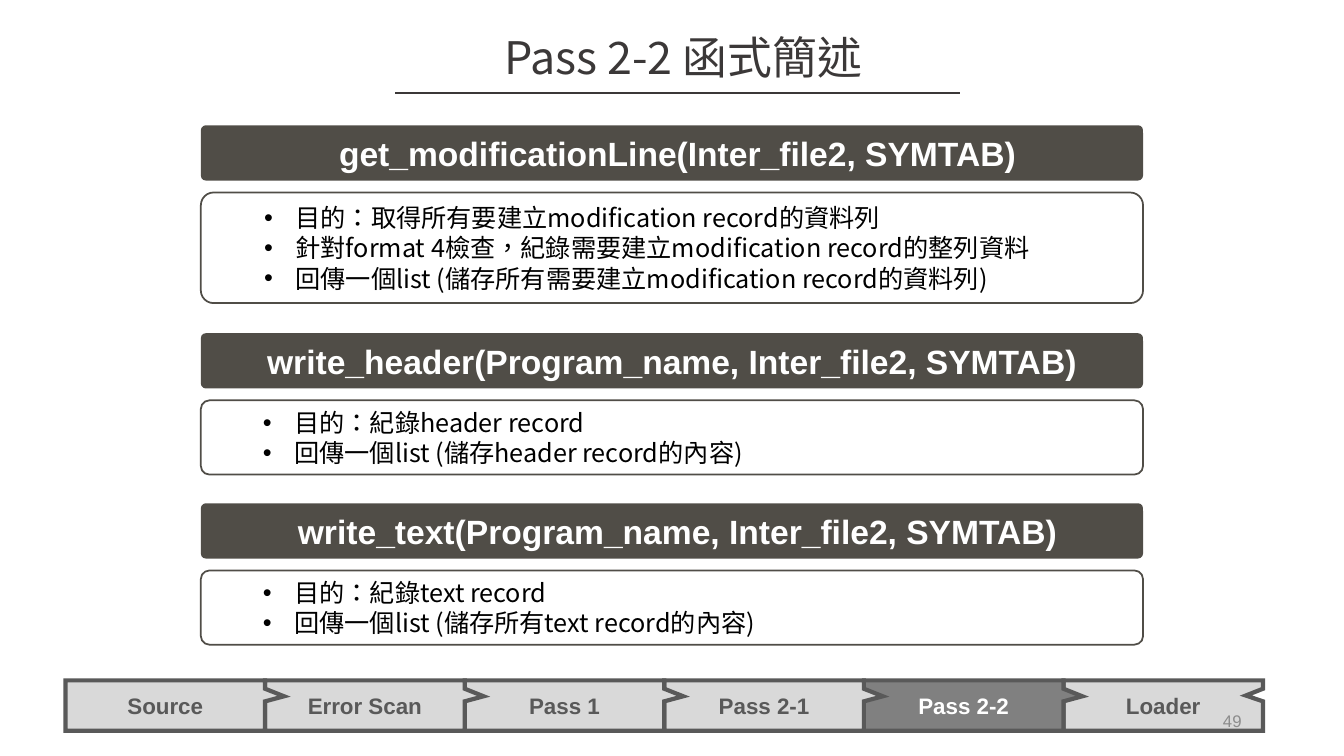
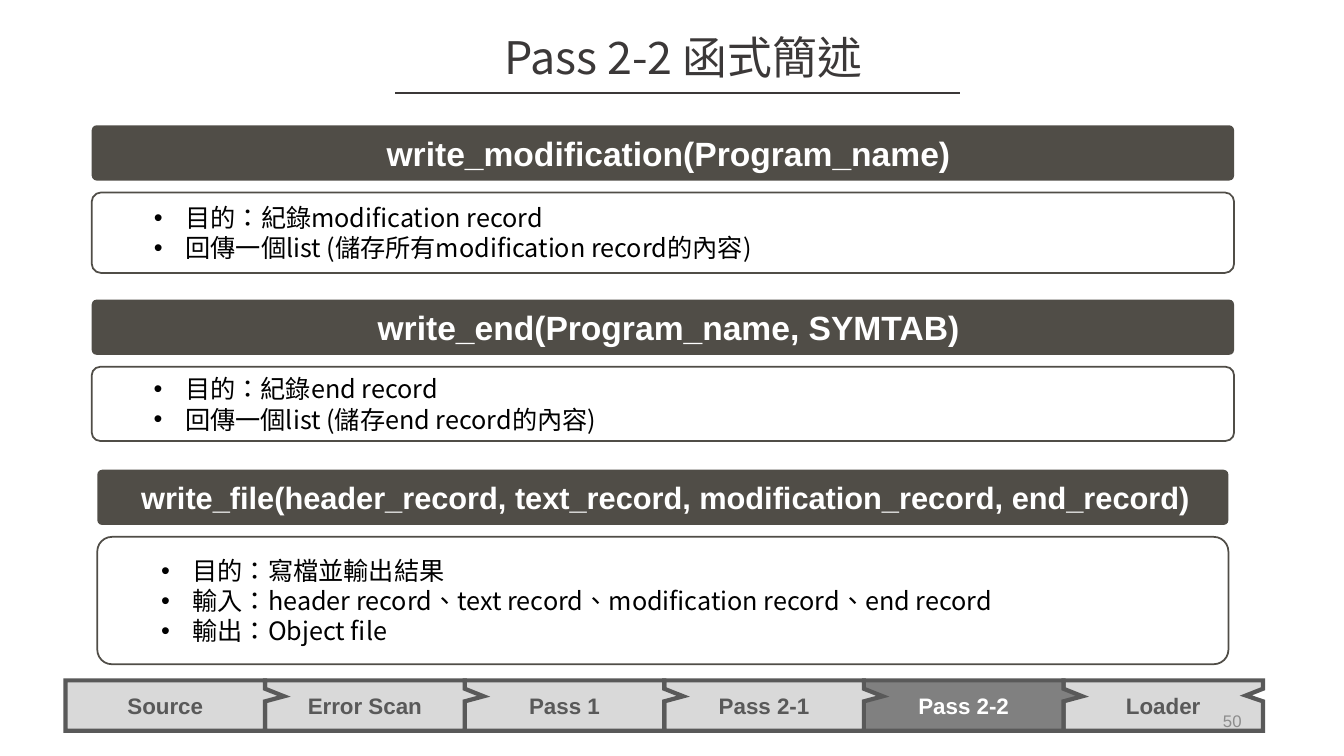
from dataclasses import dataclass

from lxml import etree
from pptx import Presentation
from pptx.dml.color import RGBColor
from pptx.enum.lang import MSO_LANGUAGE_ID
from pptx.enum.shapes import MSO_CONNECTOR, MSO_SHAPE
from pptx.enum.text import MSO_ANCHOR, PP_ALIGN
from pptx.oxml.ns import qn
from pptx.util import Pt

COLORS = {
    "title": "3B3838",
    "bar": "504D47",
    "body": "000000",
    "white": "FFFFFF",
    "step": "D9D9D9",
    "current": "808080",
    "outline": "595959",
    "number": "8C8C8C",
}
LATIN, CJK = "Arial", "Noto Sans CJK SC"
CENTER, RIGHT, LEFT = PP_ALIGN.CENTER, PP_ALIGN.RIGHT, PP_ALIGN.LEFT
MIDDLE = MSO_ANCHOR.MIDDLE
ROUNDED, CALLOUT = MSO_SHAPE.ROUNDED_RECTANGLE, MSO_SHAPE.RECTANGULAR_CALLOUT
STRAIGHT = MSO_CONNECTOR.STRAIGHT
TAIWAN = MSO_LANGUAGE_ID.TRADITIONAL_CHINESE

TITLE = "Pass 2-2 函式簡述"
STEPS = ("Source", "Error Scan", "Pass 1", "Pass 2-1", "Pass 2-2", "Loader")
CURRENT_STEP = "Pass 2-2"
STEP_LEFT, STEP_TOP, STEP_WIDTH, STEP_HEIGHT = 46.8, 486, 142.56, 36
STEP_TIP, LAST_TIP = (0.595, -0.184), (0.414, -0.199)
BAR_HEIGHT, PANEL_OFFSET = 39.5, 48


@dataclass(frozen=True)
class TextStyle:
    size: float
    color: str
    font: str = LATIN
    bold: bool = False


@dataclass(frozen=True)
class FunctionCard:
    signature: str
    notes: tuple[str, ...]
    top: float
    panel_height: float
    left: float
    width: float
    label_shift: float = 4
    label_size: float = 24


@dataclass(frozen=True)
class FunctionPage:
    number: int
    cards: tuple[FunctionCard, ...]


PAGES = (
    FunctionPage(49, (
        FunctionCard(
            "get_modificationLine(Inter_file2, SYMTAB)",
            ("目的：取得所有要建立modification record的資料列",
             "針對format 4檢查，紀錄需要建立modification record的整列資料",
             "回傳一個list (儲存所有需要建立modification record的資料列)"),
            89.5, 79, 143.5, 673),
        FunctionCard(
            "write_header(Program_name, Inter_file2, SYMTAB)",
            ("目的：紀錄header record",
             "回傳一個list (儲存header record的內容)"),
            238, 53, 143.5, 673, label_shift=0),
        FunctionCard(
            "write_text(Program_name, Inter_file2, SYMTAB)",
            ("目的：紀錄text record",
             "回傳一個list (儲存所有text record的內容)"),
            359.5, 53, 143.5, 673),
    )),
    FunctionPage(50, (
        FunctionCard(
            "write_modification(Program_name)",
            ("目的：紀錄modification record",
             "回傳一個list (儲存所有modification record的內容)"),
            89.5, 57.5, 65.5, 816),
        FunctionCard(
            "write_end(Program_name, SYMTAB)",
            ("目的：紀錄end record",
             "回傳一個list (儲存end record的內容)"),
            214, 53, 65.5, 816),
        FunctionCard(
            "write_file(header_record, text_record, modification_record, end_record)",
            ("目的：寫檔並輸出結果",
             "輸入：header record、text record、modification record、end record",
             "輸出：Object file"),
            335.5, 91, 69.5, 808, label_shift=2, label_size=22),
    )),
)


def rgb(name: str) -> RGBColor:
    return RGBColor.from_string(COLORS[name])


def add_span(para, text: str, style: TextStyle) -> None:
    span = para.add_run()
    span.text = text
    font = span.font
    font.size, font.bold, font.name = Pt(style.size), style.bold, style.font
    font.color.rgb = rgb(style.color)
    if style.font == CJK:
        font.language_id = TAIWAN
        etree.SubElement(span._r.rPr, qn("a:ea")).set("typeface", CJK)


def add_bullet(para) -> None:
    properties = para._p.get_or_add_pPr()
    properties.set("marL", str(Pt(58.5)))
    properties.set("indent", str(Pt(-22.5)))
    etree.SubElement(properties, qn("a:buFont")).set("typeface", LATIN)
    etree.SubElement(properties, qn("a:buChar")).set("char", "•")


def write_line(shape, text: str, style: TextStyle, align=CENTER) -> None:
    frame = shape.text_frame
    frame.word_wrap = True
    frame.vertical_anchor = MIDDLE
    para = frame.paragraphs[0]
    para.alignment = align
    add_span(para, text, style)


def add_box(page, kind, left: float, top: float, width: float, height: float,
            adjustments: tuple[float, ...], fill: str | None = None,
            line: str | None = None, line_width: float = 1):
    box = page.shapes.add_shape(kind, Pt(left), Pt(top), Pt(width), Pt(height))
    box.shadow.inherit = False
    for index, value in enumerate(adjustments):
        box.adjustments[index] = value
    if fill:
        box.fill.solid()
        box.fill.fore_color.rgb = rgb(fill)
    else:
        box.fill.background()
    if line:
        box.line.color.rgb = rgb(line)
        box.line.width = Pt(line_width)
    else:
        box.line.fill.background()
    return box


def add_steps(page) -> None:
    """Draw the progress band from right to left so each tip overlaps the next step."""
    for index, name in reversed(list(enumerate(STEPS))):
        current = name == CURRENT_STEP
        step = add_box(page, CALLOUT, STEP_LEFT + index * STEP_WIDTH, STEP_TOP,
                       STEP_WIDTH, STEP_HEIGHT,
                       LAST_TIP if name == STEPS[-1] else STEP_TIP,
                       "current" if current else "step", "outline", 3)
        miter = etree.SubElement(step.line._get_or_add_ln(), qn("a:miter"))
        miter.set("lim", "800000")
        write_line(step, name, TextStyle(16, "white" if current else "outline", bold=True))


def add_title(page) -> None:
    box = page.shapes.add_textbox(Pt(270), Pt(17.5), Pt(436), Pt(46))
    write_line(box, TITLE, TextStyle(32, "title", CJK))
    rule = page.shapes.add_connector(STRAIGHT, Pt(282.5), Pt(66.5), Pt(685.5), Pt(66.5))
    rule.line.color.rgb = rgb("title")
    rule.line.width = Pt(2)
    etree.SubElement(rule._element.spPr, qn("a:effectLst"))


def add_card(page, card: FunctionCard) -> None:
    panel = add_box(page, ROUNDED, card.left, card.top + PANEL_OFFSET, card.width,
                    card.panel_height, (0.115,), line="bar", line_width=1.25)
    frame = panel.text_frame
    frame.word_wrap = True
    frame.vertical_anchor = MIDDLE
    frame.margin_left = frame.margin_right = Pt(6.5)
    frame.margin_top = frame.margin_bottom = Pt(3)
    for index, note in enumerate(card.notes):
        para = frame.add_paragraph() if index else frame.paragraphs[0]
        para.alignment = LEFT
        add_bullet(para)
        add_span(para, note, TextStyle(18, "body", CJK))

    bar = add_box(page, ROUNDED, card.left, card.top, card.width, BAR_HEIGHT,
                  (0.09,), "bar")
    bar.text_frame.margin_left, bar.text_frame.margin_right = Pt(2 * card.label_shift), 0
    write_line(bar, card.signature, TextStyle(card.label_size, "white", bold=True))


def add_page_number(page, number: int) -> None:
    box = page.shapes.add_textbox(Pt(678), Pt(500.5), Pt(216), Pt(29))
    write_line(box, str(number), TextStyle(12, "number"), RIGHT)


def main() -> None:
    deck = Presentation()
    deck.slide_width, deck.slide_height = Pt(960), Pt(540)
    blank = deck.slide_layouts[6]
    for function_page in PAGES:
        page = deck.slides.add_slide(blank)
        add_steps(page)
        add_title(page)
        for card in function_page.cards:
            add_card(page, card)
        add_page_number(page, function_page.number)
    deck.save("out.pptx")


if __name__ == "__main__":
    main()
